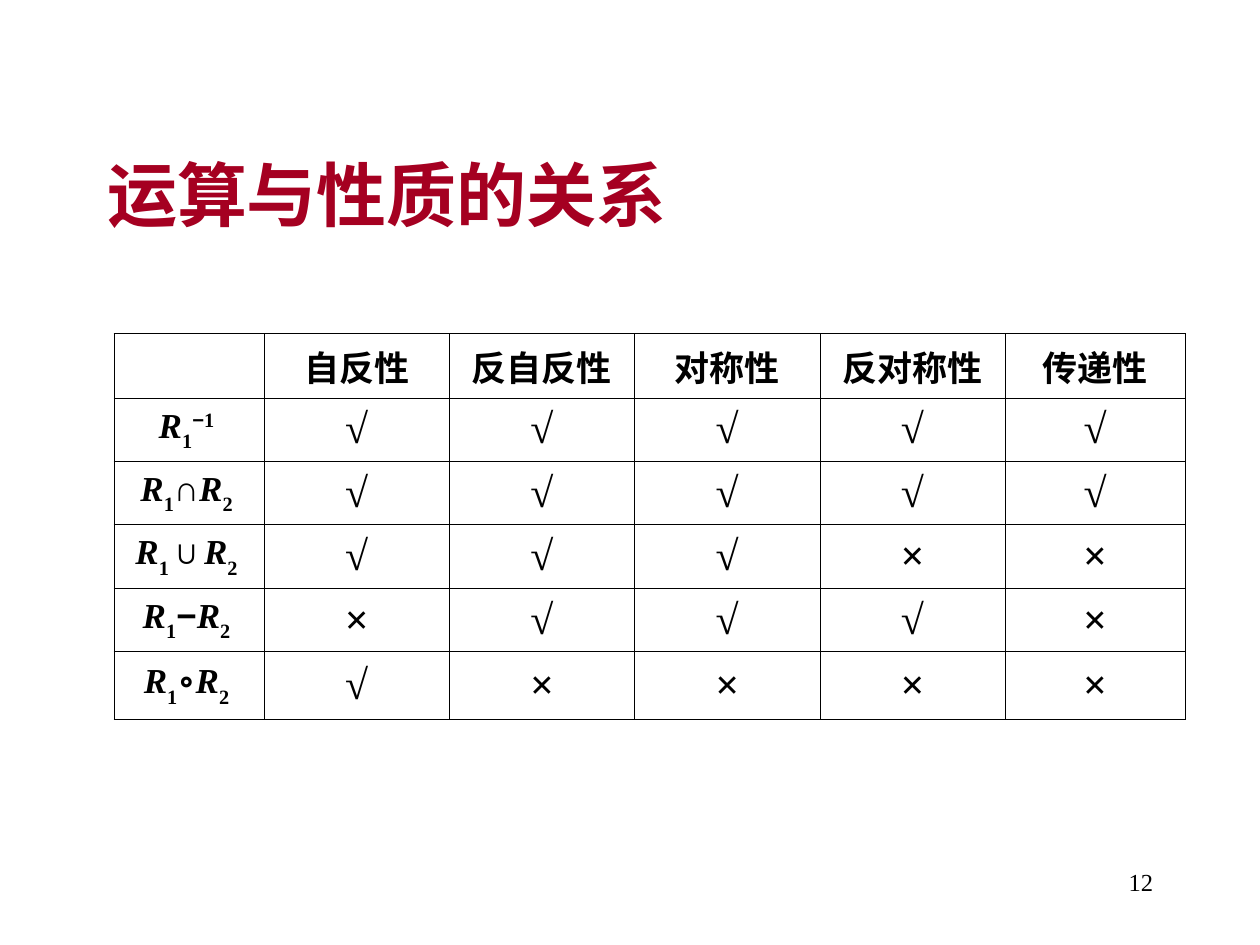
from lxml import etree
from pptx import Presentation
from pptx.dml import color
from pptx.enum import text
from pptx.oxml import ns
from pptx.util import Pt

BLACK = "000000"
SERIF = "Times New Roman"
SUB, SUPER = -30, 30
HEADERS = ["自反性", "反自反性", "对称性", "反对称性", "传递性"]
COLUMNS = [85.7, 105.9, 105.9, 105.9, 105.9, 102.7]
ROWS = [37, 36.2, 36.2, 36.2, 36.2, 38.9]


def rgb(value):
    """Return the colour for a hex string."""
    return color.RGBColor.from_string(value)


def style_run(r, size, hex_color=BLACK, bold=True, font=SERIF):
    """Format the characters of a run."""
    r.font.size, r.font.bold, r.font.name = Pt(size), bold, font
    r.font.color.rgb = rgb(hex_color)


def binary(operator):
    """Return the parts of an operation on R1 and R2."""
    return [("R", 0), ("1", SUB), (operator, 0), ("R", 0), ("2 ", SUB)]


def add_title(s, title):
    """Place and format the title placeholder."""
    sp = s.shapes.title
    sp.left, sp.top, sp.width, sp.height = Pt(54), Pt(65.5), Pt(612), Pt(90)
    tf = sp.text_frame
    tf.text = title
    tf.auto_size = text.MSO_AUTO_SIZE.NONE
    tf.vertical_anchor = text.MSO_ANCHOR.MIDDLE
    p = tf.paragraphs[0]
    p.alignment = text.PP_ALIGN.LEFT
    style_run(p.runs[0], 40, "A50021")


def add_page_number(s, number):
    """Add the page number at the lower right."""
    tf = s.shapes.add_textbox(Pt(516), Pt(492), Pt(150), Pt(36)).text_frame
    tf.word_wrap = True
    tf.text = number
    p = tf.paragraphs[0]
    p.alignment = text.PP_ALIGN.RIGHT
    style_run(p.runs[0], 14, bold=False)


def add_borders(cell):
    """Draw thin black lines on all sides of a cell."""
    tc_pr = cell._tc.get_or_add_tcPr()
    for i, side in enumerate("LRTB"):
        ln = etree.Element(ns.qn(f"a:ln{side}"), w=str(Pt(0.45)))
        fill = etree.SubElement(ln, ns.qn("a:solidFill"))
        etree.SubElement(fill, ns.qn("a:srgbClr"), val=BLACK)
        tc_pr.insert(i, ln)


def fill_cell(cell, parts, size):
    """Write the (text, baseline) parts centred in a cell."""
    cell.fill.background()
    cell.vertical_anchor = text.MSO_ANCHOR.MIDDLE
    add_borders(cell)
    p = cell.text_frame.paragraphs[0]
    p.alignment = text.PP_ALIGN.CENTER
    for part, baseline in parts:
        r = p.add_run()
        r.text = part
        style_run(r, size, font="Arial" if part == "−" else SERIF)
        r.font.italic = part == "R"
        if baseline:
            r.font._element.set("baseline", str(baseline * 1000))


def add_property_table(s, operations):
    """Add the table of operations and the properties they keep."""
    frame = s.shapes.add_table(len(ROWS), len(COLUMNS), Pt(65.2), Pt(190.5),
                               Pt(sum(COLUMNS)), Pt(sum(ROWS)))
    table = frame.table
    table.first_row = table.horz_banding = False
    for column, width in zip(table.columns, COLUMNS):
        column.width = Pt(width)
    for row, height in zip(table.rows, ROWS):
        row.height = Pt(height)
    fill_cell(table.cell(0, 0), [], 20)
    for j, header in enumerate(HEADERS, 1):
        fill_cell(table.cell(0, j), [(header, 0)], 20)
    for i, (label, marks) in enumerate(operations, 1):
        fill_cell(table.cell(i, 0), label, 20)
        for j, mark in enumerate(marks, 1):
            fill_cell(table.cell(i, j), [(mark, 0)], 24)


def main():
    """Build the slide and save it."""
    prs = Presentation()
    prs.slide_width, prs.slide_height = Pt(720), Pt(540)
    s = prs.slides.add_slide(prs.slide_layouts[5])
    add_page_number(s, "12")
    add_title(s, "运算与性质的关系")
    inverse = [("R", 0), ("1", SUB), ("−", SUPER), ("1 ", SUPER)]
    add_property_table(s, [
        (inverse, "√√√√√"),
        (binary("∩"), "√√√√√"),
        (binary("∪"), "√√√××"),
        (binary("−"), "×√√√×"),
        (binary("∘"), "√××××"),
    ])
    prs.save("out.pptx")


if __name__ == "__main__":
    main()
